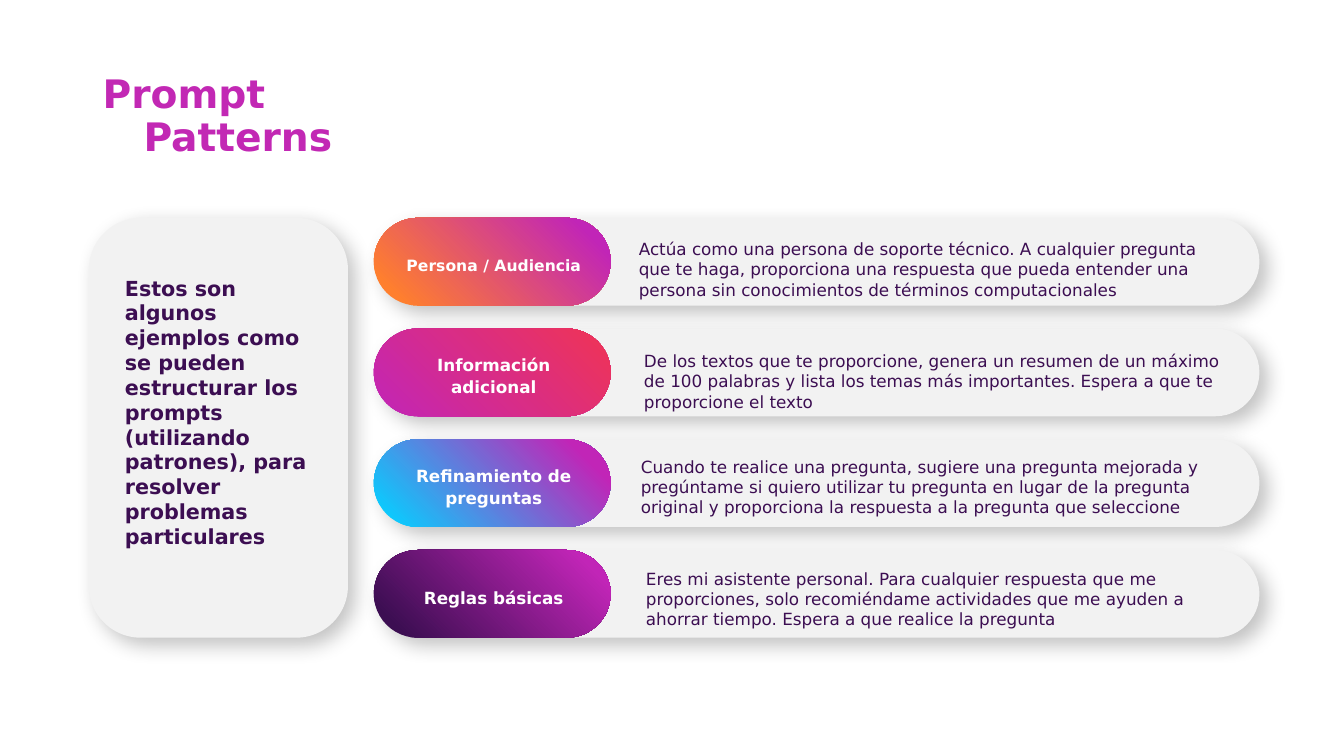
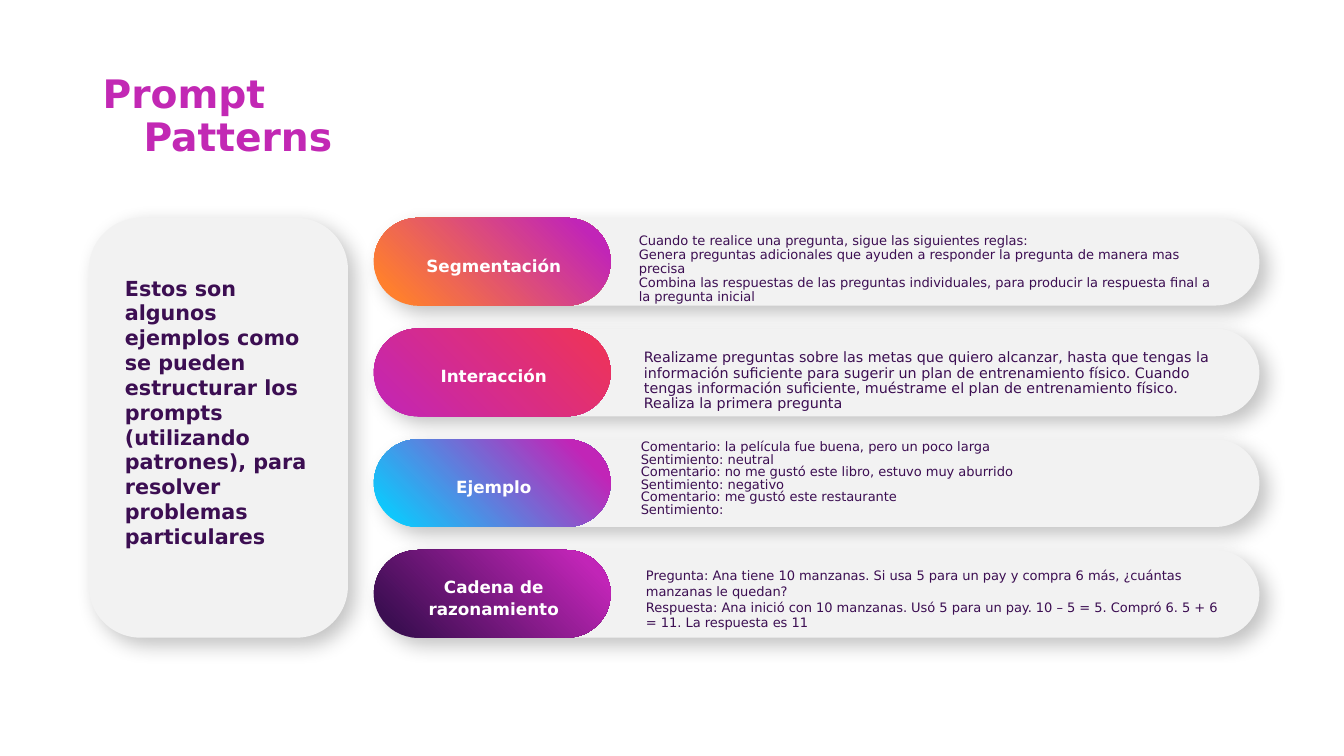
from lxml.etree import SubElement
from pptx import Presentation
from pptx.dml.color import RGBColor
from pptx.enum.shapes import MSO_SHAPE
from pptx.enum.text import MSO_ANCHOR, PP_ALIGN
from pptx.oxml.ns import qn
from pptx.util import Cm, Pt

FONT = "DejaVu Sans"
COLORS = {
    "title": "C228B4", "text": "3C0E52", "panel": "F2F2F2", "white": "FFFFFF",
    "orange": "FF7F2E", "magenta": "C125B7", "red": "F03455", "cyan": "0DC9FD",
    "shadow": "000000",
}
# Each gradient runs from bottom left to top right: (position, colour) twice.
GRADIENTS = [
    ((0.10, "orange"), (0.89, "magenta")),
    ((0, "magenta"), (1, "red")),
    ((0.08, "cyan"), (0.87, "magenta")),
    ((0.10, "text"), (0.89, "magenta")),
]
ROW_TOP, ROW_HEIGHT, ROW_PITCH = 5.49, 2.21, 2.79
BODY_SPOTS = [(15.77, 0.19), (15.9, 0.22), (15.82, 0.09), (15.95, 0.13)]  # left, drop

INTRO = ("Estos son algunos ejemplos como se pueden estructurar los prompts "
         "(utilizando patrones), para resolver problemas particulares")

# Each row: label, label size, body paragraphs, body size, line spacing, extra drop.
SLIDES = [
    [
        ("Persona / Audiencia", 11.1,
         ["Actúa como una persona de soporte técnico. A cualquier pregunta que te haga, "
          "proporciona una respuesta que pueda entender una persona sin conocimientos "
          "de términos computacionales"], 12, 1, 0),
        ("Información adicional", 12,
         ["De los textos que te proporcione, genera un resumen de un máximo de 100 palabras "
          "y lista los temas más importantes. Espera a que te proporcione el texto"],
         12, 1, 0),
        ("Refinamiento de preguntas", 12,
         ["Cuando te realice una pregunta, sugiere una pregunta mejorada y pregúntame si "
          "quiero utilizar tu pregunta en lugar de la pregunta original y proporciona la "
          "respuesta a la pregunta que seleccione"], 12, 1, 0),
        ("Reglas básicas", 12,
         ["Eres mi asistente personal. Para cualquier respuesta que me proporciones, solo "
          "recomiéndame actividades que me ayuden a ahorrar tiempo. Espera a que realice "
          "la pregunta"], 12, 1, 0),
    ],
    [
        ("Segmentación", 12,
         ["Cuando te realice una pregunta, sigue las siguientes reglas:",
          "Genera preguntas adicionales que ayuden a responder la pregunta de manera "
          "mas precisa",
          "Combina las respuestas de las preguntas individuales, para producir la "
          "respuesta final a la pregunta inicial"], 9.3, 0.9, 0),
        ("Interacción", 12,
         ["Realizame preguntas sobre las metas que quiero alcanzar, hasta que tengas la "
          "información suficiente para sugerir un plan de entrenamiento físico. Cuando "
          "tengas información suficiente, muéstrame el plan de entrenamiento físico. "
          "Realiza la primera pregunta"], 10.2, 0.9, 0),
        ("Ejemplo", 12,
         ["Comentario: la película fue buena, pero un poco larga",
          "Sentimiento: neutral",
          "Comentario: no me gustó este libro, estuvo muy aburrido",
          "Sentimiento: negativo",
          "Comentario: me gustó este restaurante",
          "Sentimiento:"], 9.3, 0.8, -0.19),
        ("Cadena de razonamiento", 12,
         ["Pregunta: Ana tiene 10 manzanas. Si usa 5 para un pay y compra 6 más, "
          "¿cuántas manzanas le quedan?",
          "Respuesta: Ana inició con 10 manzanas. Usó 5 para un pay. 10 – 5 = 5. "
          "Compró 6. 5 + 6 = 11. La respuesta es 11"], 9.3, 1, 0),
    ],
]


def rgb(name):
    return RGBColor.from_string(COLORS[name])


class Deck:
    """Holds the shared style and the slide being drawn; lengths are in cm."""

    def __init__(self):
        self.prs = Presentation()
        self.prs.slide_width, self.prs.slide_height = Cm(33.87), Cm(19.05)
        self.slide = None

    def new_slide(self):
        self.slide = self.prs.slides.add_slide(self.prs.slide_layouts[6])

    def rounded(self, x, y, w, h, adjust=0.5):
        sp = self.slide.shapes.add_shape(
            MSO_SHAPE.ROUNDED_RECTANGLE, Cm(x), Cm(y), Cm(w), Cm(h))
        sp.adjustments[0] = adjust
        sp.line.fill.background()
        sp.shadow.inherit = False
        return sp

    def panel(self, x, y, w, h, adjust=0.5):
        """Grey rounded panel with a soft shadow to the lower right."""
        sp = self.rounded(x, y, w, h, adjust)
        sp.fill.solid()
        sp.fill.fore_color.rgb = rgb("panel")
        effects = sp._element.spPr.find(qn("a:effectLst"))
        shadow = SubElement(effects, qn("a:outerShdw"), blurRad=str(Pt(14.8)),
                            dist=str(Pt(7)), dir="2700000", algn="tl", rotWithShape="0")
        color = SubElement(shadow, qn("a:srgbClr"), val=COLORS["shadow"])
        SubElement(color, qn("a:alpha"), val="23000")

    def pill(self, x, y, w, h, gradient):
        fill = self.rounded(x, y, w, h).fill
        fill.gradient()
        fill.gradient_angle = 45
        for stop, (position, color) in zip(fill.gradient_stops, gradient):
            stop.position = position
            stop.color.rgb = rgb(color)

    def text(self, x, y, w, h, lines, size, color="text", bold=False, spacing=1.0,
             align=PP_ALIGN.LEFT, anchor=MSO_ANCHOR.MIDDLE, inset=(0.33, 0.18)):
        tf = self.slide.shapes.add_textbox(Cm(x), Cm(y), Cm(w), Cm(h)).text_frame
        tf.word_wrap = True
        tf.vertical_anchor = anchor
        tf.margin_left = tf.margin_right = Cm(inset[0])
        tf.margin_top = tf.margin_bottom = Cm(inset[1])
        for i, line in enumerate(lines):
            p = tf.add_paragraph() if i else tf.paragraphs[0]
            p.text = line
            p.alignment = align
            p.line_spacing = spacing
            p.font.name, p.font.size, p.font.bold = FONT, Pt(size), bold
            p.font.color.rgb = rgb(color)
        return tf

    def title(self, first, second):
        """Two-line title whose second line is indented."""
        tf = self.text(2.34, 1.8, 29.21, 2.31, [first, second], 28, "title", True, 0.9,
                       inset=(0.25, 0.13))
        tf.paragraphs[1]._p.get_or_add_pPr().set("marL", str(Cm(1.03)))

    def intro(self, line):
        self.panel(2.24, ROW_TOP, 6.53, 3 * ROW_PITCH + ROW_HEIGHT, 0.2)
        self.text(2.9, 6.81, 5.28, 7.87, [line], 14.8, bold=True,
                  anchor=MSO_ANCHOR.TOP, inset=(0.25, 0.13))

    def row(self, index, label, label_size, body, body_size, spacing, extra_drop):
        top = ROW_TOP + index * ROW_PITCH
        left, drop = BODY_SPOTS[index]
        self.panel(9.46, top, 22.28, ROW_HEIGHT)
        self.pill(9.42, top, 5.97, ROW_HEIGHT, GRADIENTS[index])
        self.text(left, top + drop + extra_drop, 15.27, ROW_HEIGHT, body, body_size,
                  spacing=spacing)
        self.text(9.78, top + 0.07, 5.33, ROW_HEIGHT, [label], label_size, "white", True,
                  1.1, PP_ALIGN.CENTER)


def main():
    deck = Deck()
    for rows in SLIDES:
        deck.new_slide()
        deck.title("Prompt", "Patterns")
        deck.intro(INTRO)
        for index, row in enumerate(rows):
            deck.row(index, *row)
    deck.prs.save("out.pptx")


if __name__ == "__main__":
    main()
